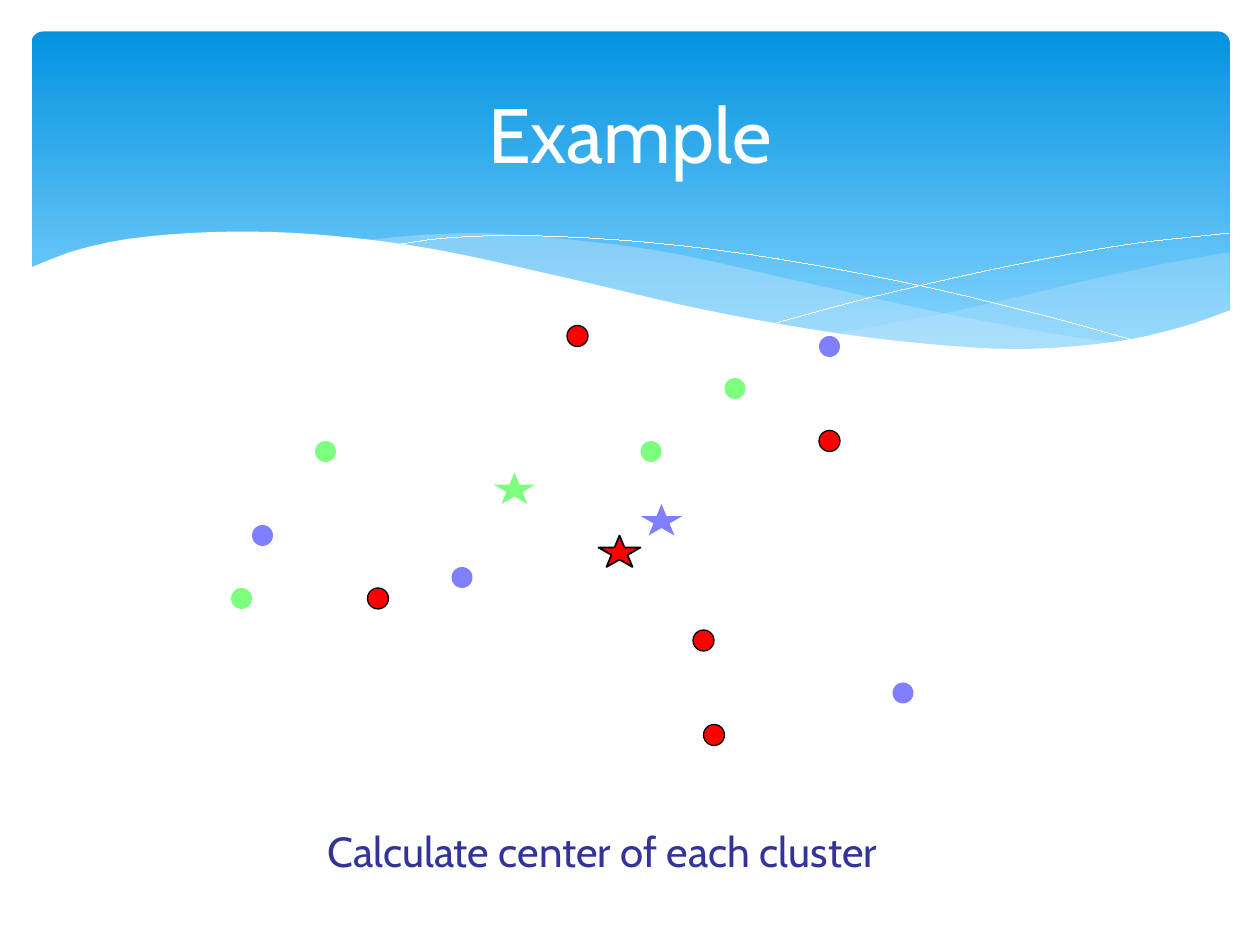
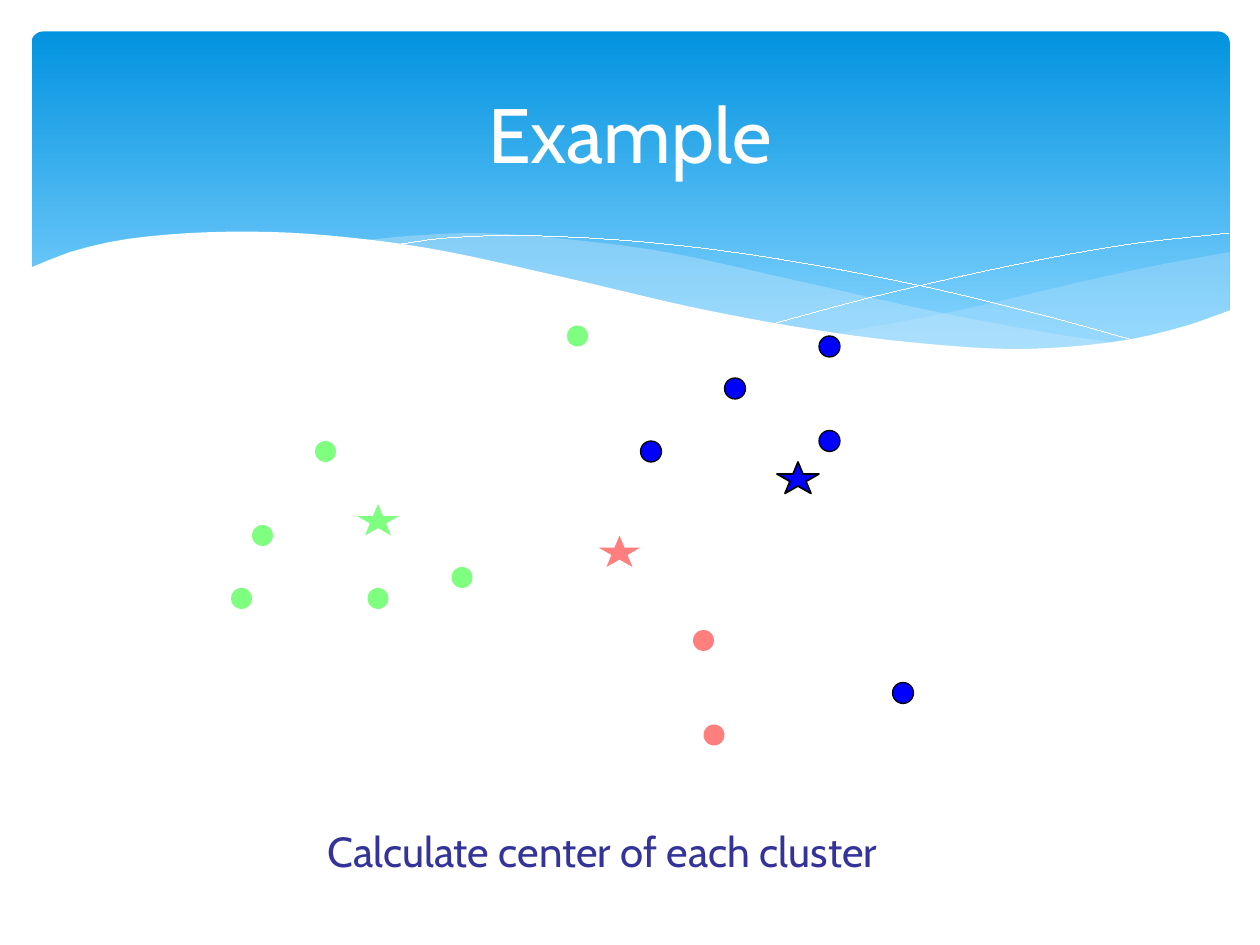
from lxml import etree
from pptx import Presentation
from pptx.dml.color import RGBColor
from pptx.enum.shapes import MSO_SHAPE
from pptx.enum.text import MSO_ANCHOR, PP_ALIGN
from pptx.oxml.ns import qn
from pptx.util import Inches, Pt

ROUNDED, OVAL, STAR = MSO_SHAPE.ROUNDED_RECTANGLE, MSO_SHAPE.OVAL, MSO_SHAPE.STAR_5_POINT
MIDDLE, TOP = MSO_ANCHOR.MIDDLE, MSO_ANCHOR.TOP
CENTER, LEFT = PP_ALIGN.CENTER, PP_ALIGN.LEFT

FONT = "Cabin"
WHITE, BLACK, INDIGO = "FFFFFF", "000000", "333399"
BAND_TOP, BAND_BOTTOM, PALE_BLUE = "0293E0", "83D3FE", "C6E7FC"
CLUSTER_COLORS = {"R": "FF0000", "G": "00FF00", "B": "0000FF"}
HAIRLINE = 0.01

# Each curve is a few (x, y) knots in inches, from left to right, joined smoothly.
WATERLINE = [(0.23, 2.13), (0.59, 1.99), (1.06, 1.89), (1.77, 1.84), (2.5, 1.86),
             (3.4, 1.97), (4.47, 2.2), (5.55, 2.45), (6.48, 2.62), (7.26, 2.72),
             (8.09, 2.77), (8.87, 2.71), (9.4, 2.59), (9.77, 2.46)]
MIDDLE_CREST = [(2.86, 1.91), (3.28, 1.87), (3.8, 1.85), (4.42, 1.89), (5.28, 2),
                (6.29, 2.22), (7.41, 2.47), (8.37, 2.65), (8.93, 2.73)]
RIGHT_CREST = [(6.61, 2.65), (7.53, 2.48), (8.61, 2.23), (9.21, 2.1), (9.76, 2)]
FALLING_CURVE = [(3.09, 1.95), (3.53, 1.89), (4.16, 1.87), (5.1, 1.92), (6.08, 2.04),
                 (7.27, 2.26), (8.31, 2.51), (9.07, 2.72)]
RISING_CURVE = [(6.13, 2.57), (6.95, 2.35), (8.06, 2.1), (8.95, 1.94), (9.75, 1.85)]
WAVE_FLOOR = 3.29
WAVE_OVERLAP = 0.01
CURVE_STEPS = 60

# The plot is laid out on a grid; positions and sizes below count its cells.
CELLS_PER_INCH = 12
DOT_SIZE = (2, 2)
STAR_SIZE = (4, 3)
DATA_POINTS = [
    (24, 50), (30, 42), (35, 56), (78, 32), (67, 69), (61, 42), (69, 36),
    (85, 65), (66, 60), (78, 41), (54, 31), (22, 56), (43, 54),
]
# One letter per data point names its cluster; the active cluster is drawn solid.
STEPS = [
    {"clusters": "BGRBRGGBRRRGB", "active": "R",
     "centers": {"G": (47, 45), "R": (57, 51), "B": (61, 48)}},
    {"clusters": "GGGBRBBBRBGGG", "active": "B",
     "centers": {"R": (57, 51), "G": (34, 48), "B": (74, 44)}},
]


def rgb(value):
    return RGBColor.from_string(value)


def slope_at(knots, index):
    """Slope between the neighbours of a knot, or to the only neighbour at an end."""
    x_before, y_before = knots[max(index - 1, 0)]
    x_after, y_after = knots[min(index + 1, len(knots) - 1)]
    return (y_after - y_before) / (x_after - x_before)


def height_at(knots, x):
    """Height at x of the cubic Hermite curve through the knots."""
    index = max(i for i, knot in enumerate(knots[:-1]) if i == 0 or knot[0] <= x)
    (x0, y0), (x1, y1) = knots[index:index + 2]
    gap = x1 - x0
    t = (x - x0) / gap
    rise = y0 + (y1 - y0) * t * t * (3 - 2 * t)
    bend_start = slope_at(knots, index) * t * (1 - t) ** 2
    bend_end = slope_at(knots, index + 1) * t * t * (1 - t)
    return rise + gap * (bend_start - bend_end)


def sample_curve(knots, left=None, right=None):
    """Evenly spaced points of a curve, over its whole width unless limits are given."""
    left = knots[0][0] if left is None else left
    right = knots[-1][0] if right is None else right
    step = (right - left) / CURVE_STEPS
    xs = [left + step * i for i in range(CURVE_STEPS + 1)]
    return [(x, height_at(knots, x)) for x in xs]


def wave_above_waterline(crest):
    """Outline from a crest down to just under the waterline, which covers the seam."""
    base = sample_curve(WATERLINE, crest[0][0], crest[-1][0])
    return sample_curve(crest) + [(x, y + WAVE_OVERLAP) for x, y in reversed(base)]


def wave_below_waterline():
    left, right = WATERLINE[0][0], WATERLINE[-1][0]
    return sample_curve(WATERLINE) + [(right, WAVE_FLOOR), (left, WAVE_FLOOR)]


class Deck:
    """Holds the presentation, its style and the current slide."""

    def __init__(self):
        self.presentation = Presentation()
        self.presentation.slide_width = Inches(10)
        self.presentation.slide_height = Inches(7.5)
        self.slide = None

    def new_slide(self, title):
        self.slide = self.presentation.slides.add_slide(self.presentation.slide_layouts[6])
        self.band()
        self.waves()
        self.text(title, 0.5, 0.37, 9, 1.37, size=44, color=WHITE, align=CENTER, anchor=MIDDLE)

    def paint(self, shape, fill=None, opacity=100, line=None, line_width=HAIRLINE):
        """Set fill (opacity in percent) and outline; None leaves either one out."""
        shape.shadow.inherit = False
        if fill:
            shape.fill.solid()
            shape.fill.fore_color.rgb = rgb(fill)
            if opacity < 100:
                color = shape.element.spPr.find(qn("a:solidFill"))[0]
                etree.SubElement(color, qn("a:alpha")).set("val", str(opacity * 1000))
        else:
            shape.fill.background()
        if line:
            shape.line.color.rgb = rgb(line)
            shape.line.width = Pt(line_width)
        else:
            shape.line.fill.background()

    def shape(self, kind, left, top, width, height, **style):
        shape = self.slide.shapes.add_shape(
            kind, Inches(left), Inches(top), Inches(width), Inches(height))
        self.paint(shape, **style)
        return shape

    def freeform(self, points, **style):
        """Draw a closed outline when it has a fill, otherwise an open curve."""
        start, *rest = [(Inches(x), Inches(y)) for x, y in points]
        builder = self.slide.shapes.build_freeform(*start)
        builder.add_line_segments(rest, close="fill" in style)
        self.paint(builder.convert_to_shape(), **style)

    def band(self):
        band = self.shape(ROUNDED, 0.25, 0.25, 9.51, 2.7)
        band.adjustments[0] = 0.034
        band.fill.gradient()
        band.fill.gradient_angle = 270
        stops = zip(band.fill.gradient_stops, (0, 0.9), (BAND_TOP, BAND_BOTTOM))
        for stop, position, color in stops:
            stop.position = position
            stop.color.rgb = rgb(color)

    def waves(self):
        for crest, opacity in ((RIGHT_CREST, 29), (MIDDLE_CREST, 40)):
            self.freeform(wave_above_waterline(crest), fill=PALE_BLUE, opacity=opacity)
        for curve in (FALLING_CURVE, RISING_CURVE):
            self.freeform(sample_curve(curve), line=WHITE)
        self.freeform(wave_below_waterline(), fill=WHITE)

    def text(self, text, left, top, width, height, size, color, align=LEFT, anchor=TOP):
        box = self.slide.shapes.add_textbox(
            Inches(left), Inches(top), Inches(width), Inches(height))
        frame = box.text_frame
        frame.word_wrap = True
        frame.vertical_anchor = anchor
        paragraph = frame.paragraphs[0]
        paragraph.alignment = align
        run = paragraph.add_run()
        run.text = text
        run.font.name = FONT
        run.font.size = Pt(size)
        run.font.color.rgb = rgb(color)

    def marker(self, kind, cell, size, cluster, active, line_width):
        """Draw a solid outlined marker for the active cluster, a faded one otherwise."""
        if cluster == active:
            style = {"line": BLACK, "line_width": line_width}
        else:
            style = {"opacity": 50}
        bounds = [count / CELLS_PER_INCH for count in cell + size]
        self.shape(kind, *bounds, fill=CLUSTER_COLORS[cluster], **style)

    def cluster_plot(self, clusters, active, centers):
        for cell, cluster in zip(DATA_POINTS, clusters):
            self.marker(OVAL, cell, DOT_SIZE, cluster, active, line_width=0.75)
        for cluster, cell in centers.items():
            self.marker(STAR, cell, STAR_SIZE, cluster, active, line_width=1)


def main():
    deck = Deck()
    for step in STEPS:
        deck.new_slide("Example")
        deck.cluster_plot(**step)
        deck.text("Calculate center of each cluster", 2.5, 6.5, 5.58, 0.5, size=24, color=INDIGO)
    deck.presentation.save("out.pptx")


if __name__ == "__main__":
    main()
